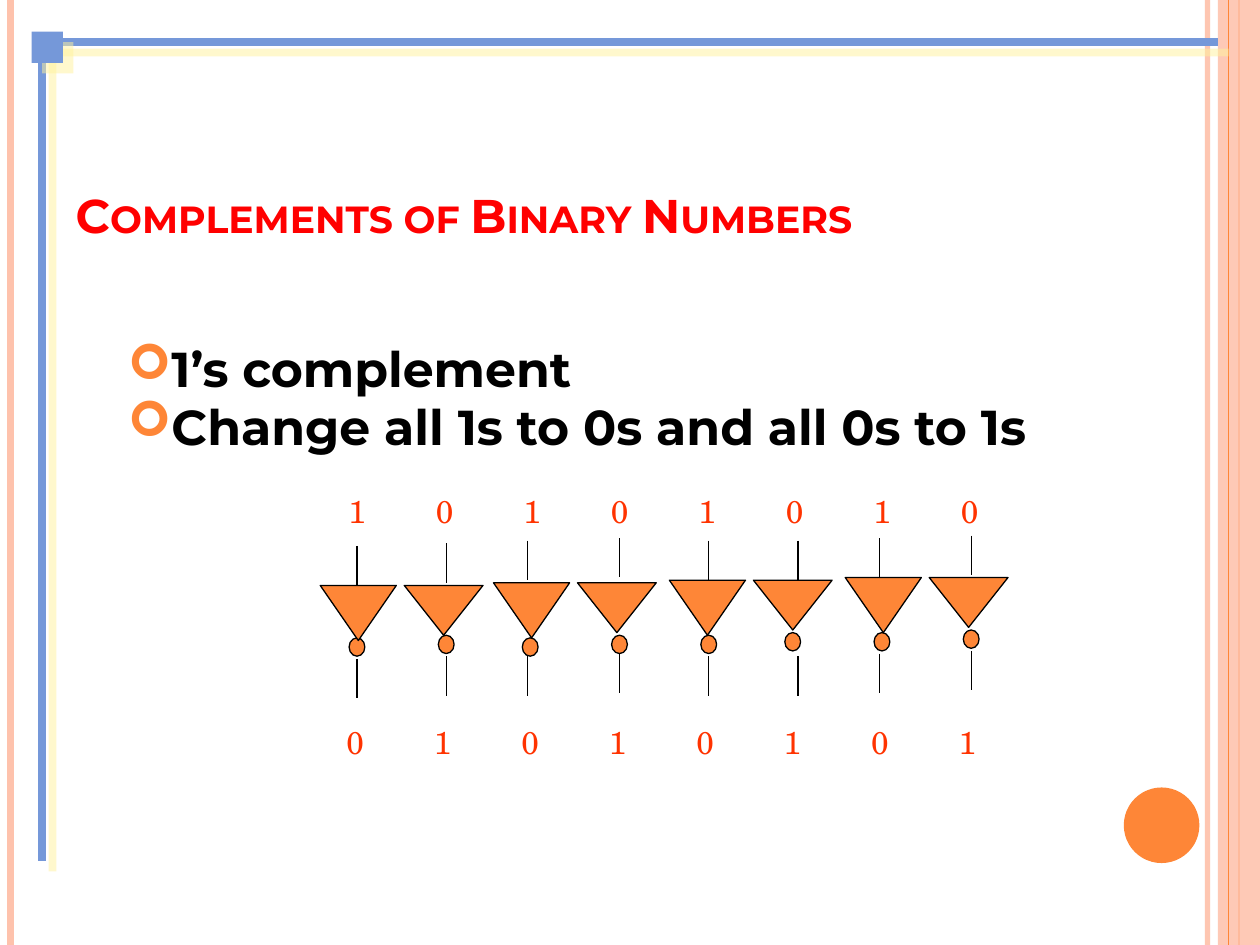
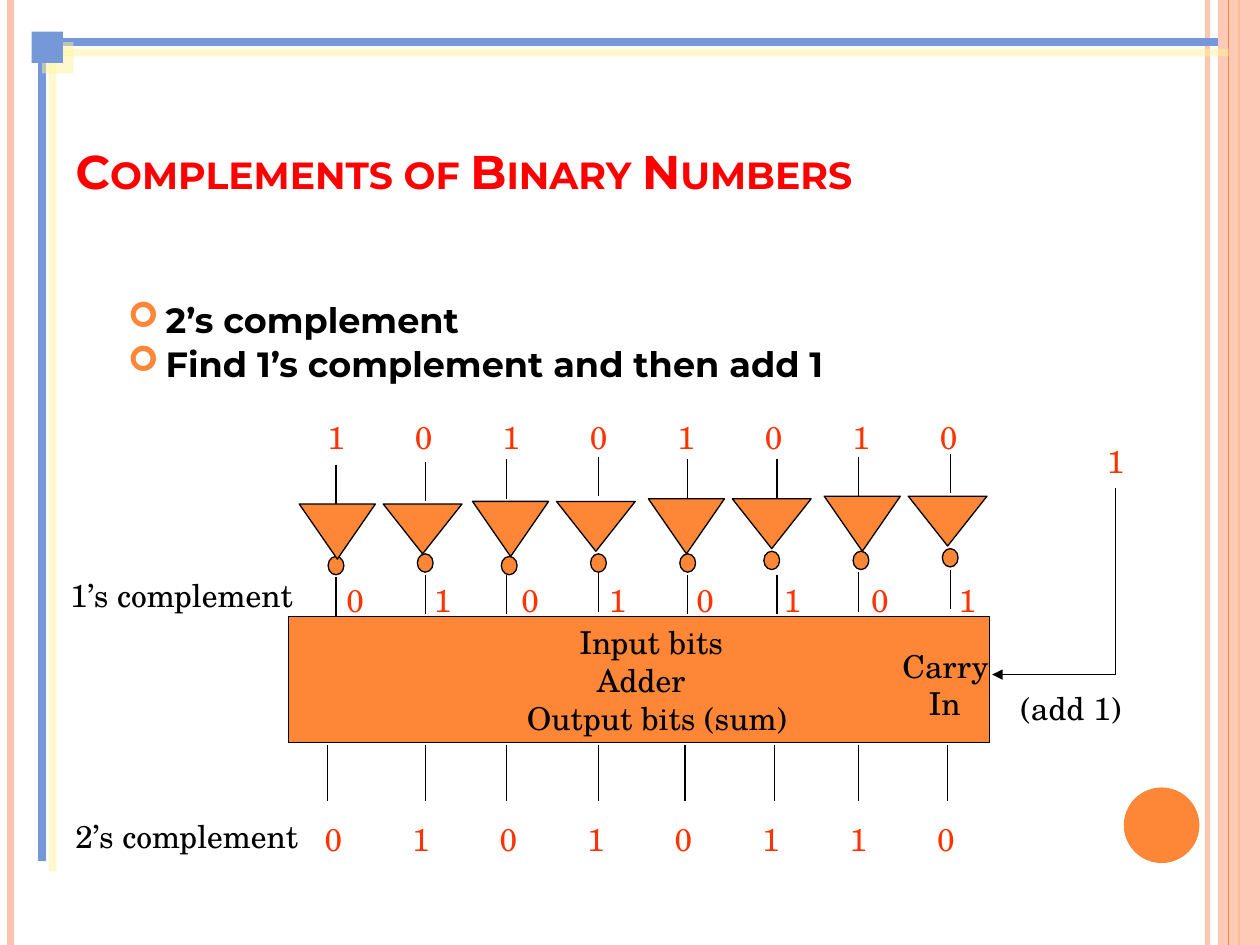
from lxml import etree
from pptx import Presentation
from pptx.dml.color import RGBColor
from pptx.enum.shapes import MSO_CONNECTOR, MSO_SHAPE
from pptx.enum.text import MSO_ANCHOR, MSO_AUTO_SIZE, PP_ALIGN
from pptx.oxml.ns import qn
from pptx.util import Pt

RECT, OVAL, TRIANGLE = MSO_SHAPE.RECTANGLE, MSO_SHAPE.OVAL, MSO_SHAPE.ISOSCELES_TRIANGLE
STRAIGHT = MSO_CONNECTOR.STRAIGHT
LEFT, BOTTOM, NO_FIT = PP_ALIGN.LEFT, MSO_ANCHOR.BOTTOM, MSO_AUTO_SIZE.NONE

ORANGE = RGBColor(0xFE, 0x86, 0x37)
PEACH = RGBColor(0xFE, 0xC2, 0xAC)
BLUE = RGBColor(0x75, 0x98, 0xD9)
CREAM = RGBColor(0xFF, 0xF3, 0x9D)
RED = RGBColor(0xFF, 0x00, 0x00)
BIT_RED = RGBColor(0xFF, 0x33, 0x00)
BLACK = RGBColor(0x00, 0x00, 0x00)
SANS, SERIF = "Montserrat", "TeX Gyre Schola"
# In this symbol font the character is a bold ring
BULLET_FONT, BULLET = "Wingdings", "¢"

WIDTH, HEIGHT = 720, 540

# Content; lengths in points
TITLE = "Complements of Binary Numbers"
ONES = {
    "title_top": 106.5,
    "points": ["1’s complement", "Change all 1s to 0s and all 0s to 1s"],
    "points_box": (66, 196.5, 618, 72), "points_size": 28,
    "shift": (0, 0),
    "bits": [("10101010", 192, 277.5), ("01010101", 190.8, 409.5)],
}
TWOS = {
    "title_top": 81.5,
    "points": ["2’s complement", "Find 1’s complement and then add 1"],
    "points_box": (66, 171.5, 618, 54), "points_size": 20,
    "shift": (-12, -46.5),
    "bits": [("10101010", 180, 235.5), ("01010101", 190.8, 328.5),
             ("01010110", 178.5, 465)],
}
# Lines of (wording, indent), then box and colour
ADDER_LABELS = [
    ([("Input bits", 30), ("Adder", 40), ("Output bits (sum)", 0)],
     (294, 352.5, 227, 72), BLACK),
    ([("Carry", 0), ("In", 15)], (508.5, 366, 67.5, 50), BLACK),
    ([("(add 1)", 0)], (576, 390, 87, 29), BLACK),
    ([("1", 0)], (625.5, 249, 45, 29), BIT_RED),
    ([("2’s complement", 0)], (36, 463.5, 144, 29), BLACK),
    ([("1’s complement", 0)], (33, 325.5, 144, 29), BLACK),
]
OUTPUT_X = [187.2, 243, 289.5, 342, 391.5, 442.5, 490.5, 541.5]

# Inverters: triangle x, bubble x, bubble y, wire x, upper wire y, lower wire y
INVERTERS = [
    (183, 199.5, 364.5, 204, 312, 376.5),
    (231, 250.5, 363, 255, 310.5, 375),
    (282, 298.5, 364.5, 301.5, 309, 375),
    (330, 349.5, 363, 354, 307.5, 373.5),
    (382.5, 400.5, 363, 405, 309, 375),
    (430.5, 448.5, 361.5, 456, 309, 375),
    (483, 499.5, 361.5, 502.5, 307.5, 373.5),
    (531, 550.5, 360, 555, 306, 372),
]
TRIANGLE_SIZES = [(43.5, 31.5), (45, 28.5)]
TRIANGLE_TOP, PAIR_RISE = 334.5, 1.5
WIRE = 22.5
BIT_PITCH = 50


def sub(parent, tag, **attributes):
    return etree.SubElement(parent, qn(tag), attributes)


def set_opacity(part, percent):
    for color in part._element.spPr.iter(qn("a:srgbClr")):
        sub(color, "a:alpha", val=str(percent * 1000))


def add_shadow(part):
    effects = part._element.spPr.find(qn("a:effectLst"))
    shadow = sub(effects, "a:outerShdw", dist=str(Pt(8.5)), dir="2700000",
                 algn="ctr", rotWithShape="0")
    sub(sub(shadow, "a:srgbClr", val=str(CREAM)), "a:alpha", val="50000")


def add_shape(shapes, kind, box, fill=ORANGE, outline=BLACK):
    shape = shapes.add_shape(kind, *map(Pt, box))
    shape.shadow.inherit = False
    shape.fill.solid()
    shape.fill.fore_color.rgb = fill
    if outline is None:
        shape.line.fill.background()
    else:
        shape.line.color.rgb = outline
        shape.line.width = Pt(0.75)
    return shape


def add_line(shapes, start, end, color=BLACK, width=0.75):
    line = shapes.add_connector(STRAIGHT, *map(Pt, start + end))
    line.line.color.rgb = color
    line.line.width = Pt(width)
    sub(line._element.spPr, "a:effectLst")
    return line


def format_text(paragraph, font_name, size, color, bold=False):
    for run in paragraph.runs:
        run.font.name, run.font.size, run.font.bold = font_name, Pt(size), bold
        run.font.color.rgb = color


def add_text(slide, lines, box):
    frame = slide.shapes.add_textbox(*map(Pt, box)).text_frame
    frame.word_wrap = True
    frame.text = "\n".join(lines)
    return frame.paragraphs


def add_label(slide, lines, box, color):
    paragraphs = add_text(slide, [wording for wording, _ in lines], box)
    for paragraph, (_, indent) in zip(paragraphs, lines):
        format_text(paragraph, SERIF, 18, color)
        paragraph._p.get_or_add_pPr().set("marL", str(Pt(indent)))


def add_bits(slide, bits, left, top):
    row = add_text(slide, ["\t".join(bits)], (left, top, 402, 29))[0]
    format_text(row, SERIF, 18, BIT_RED)
    tabs = sub(row._p.get_or_add_pPr(), "a:tabLst")
    for column in range(1, len(bits)):
        sub(tabs, "a:tab", pos=str(Pt(BIT_PITCH * column)), algn="l")


def add_decor(slide):
    shapes = slide.shapes
    # Side bands
    edge = add_line(shapes, (690, 0), (690, HEIGHT), PEACH, 3)
    set_opacity(edge, 93)
    add_line(shapes, (6, 0), (6, HEIGHT), PEACH, 4.5)
    add_line(shapes, (708, 0), (708, HEIGHT), ORANGE, 1.5)
    band = add_shape(shapes, RECT, (696, 0, WIDTH - 696, HEIGHT), PEACH, None)
    set_opacity(band, 87)
    add_line(shapes, (702, 0), (702, HEIGHT), ORANGE)
    add_shape(shapes, OVAL, (642.2, 450, 43.2, 43.2), ORANGE, None)
    # Blue corner frame
    corner = shapes.add_group_shape().shapes
    for part in (add_line(corner, (24, 24), (696, 24), BLUE, 4.5),
                 add_line(corner, (24, 24), (24, 492), BLUE, 4.5),
                 add_shape(corner, RECT, (18, 18, 18, 18), BLUE, None)):
        add_shadow(part)


def add_title(slide, top):
    title = slide.shapes.title
    title.left, title.top, title.width, title.height = map(Pt, (36, top, 648, 36))
    frame = title.text_frame
    frame.text = TITLE
    frame.auto_size, frame.vertical_anchor = NO_FIT, BOTTOM
    heading = frame.paragraphs[0]
    heading.alignment = LEFT
    format_text(heading, SANS, 27, RED, bold=True)
    heading.runs[0]._r.get_or_add_rPr().set("cap", "small")


def add_points(slide, points, box, size):
    for index, point in enumerate(add_text(slide, points, box)):
        format_text(point, SANS, size, BLACK, bold=True)
        point.line_spacing = 0.8
        point.space_before = Pt(6 if index else 0)
        properties = point._p.get_or_add_pPr()
        properties.set("marL", str(Pt(21.6)))
        properties.set("indent", str(-Pt(21.6)))
        sub(sub(properties, "a:buClr"), "a:srgbClr", val=str(ORANGE))
        sub(properties, "a:buFont", typeface=BULLET_FONT, pitchFamily="2", charset="2")
        sub(properties, "a:buChar", char=BULLET)


def add_inverters(slide, dx, dy):
    gates = slide.shapes.add_group_shape().shapes
    for index, (gate_x, bubble_x, bubble_y, wire_x, upper, lower) in enumerate(INVERTERS):
        pair, side = divmod(index, 2)
        add_shape(gates, OVAL, (bubble_x + dx, bubble_y + dy, 9, 10.5))
        gate_y = TRIANGLE_TOP - PAIR_RISE * pair
        gate = add_shape(gates, TRIANGLE,
                         (gate_x + dx, gate_y + dy, *TRIANGLE_SIZES[side]))
        gate.rotation = 180
        for y in (upper + dy, lower + dy):
            add_line(gates, (wire_x + dx, y), (wire_x + dx, y + WIRE))


def add_adder(slide):
    shapes = slide.shapes
    add_shape(shapes, RECT, (165, 352.5, 400.5, 72))
    for label in ADDER_LABELS:
        add_label(slide, *label)
    # Carry-in path
    add_line(shapes, (637.5, 279), (637.5, 385.5))
    carry = add_line(shapes, (637.5, 385.5), (567, 385.5))
    sub(carry.line._get_or_add_ln(), "a:tailEnd", type="triangle")
    # Sum outputs
    for x in OUTPUT_X:
        add_line(shapes, (x, 426), (x, 457.5))


def add_slide(deck, content):
    slide = deck.slides.add_slide(deck.slide_layouts[5])
    add_decor(slide)
    add_title(slide, content["title_top"])
    add_points(slide, content["points"], content["points_box"], content["points_size"])
    add_inverters(slide, *content["shift"])
    for row in content["bits"]:
        add_bits(slide, *row)
    return slide


def main():
    deck = Presentation()
    deck.slide_width, deck.slide_height = Pt(WIDTH), Pt(HEIGHT)
    add_slide(deck, ONES)
    add_adder(add_slide(deck, TWOS))
    deck.save("out.pptx")


if __name__ == "__main__":
    main()
